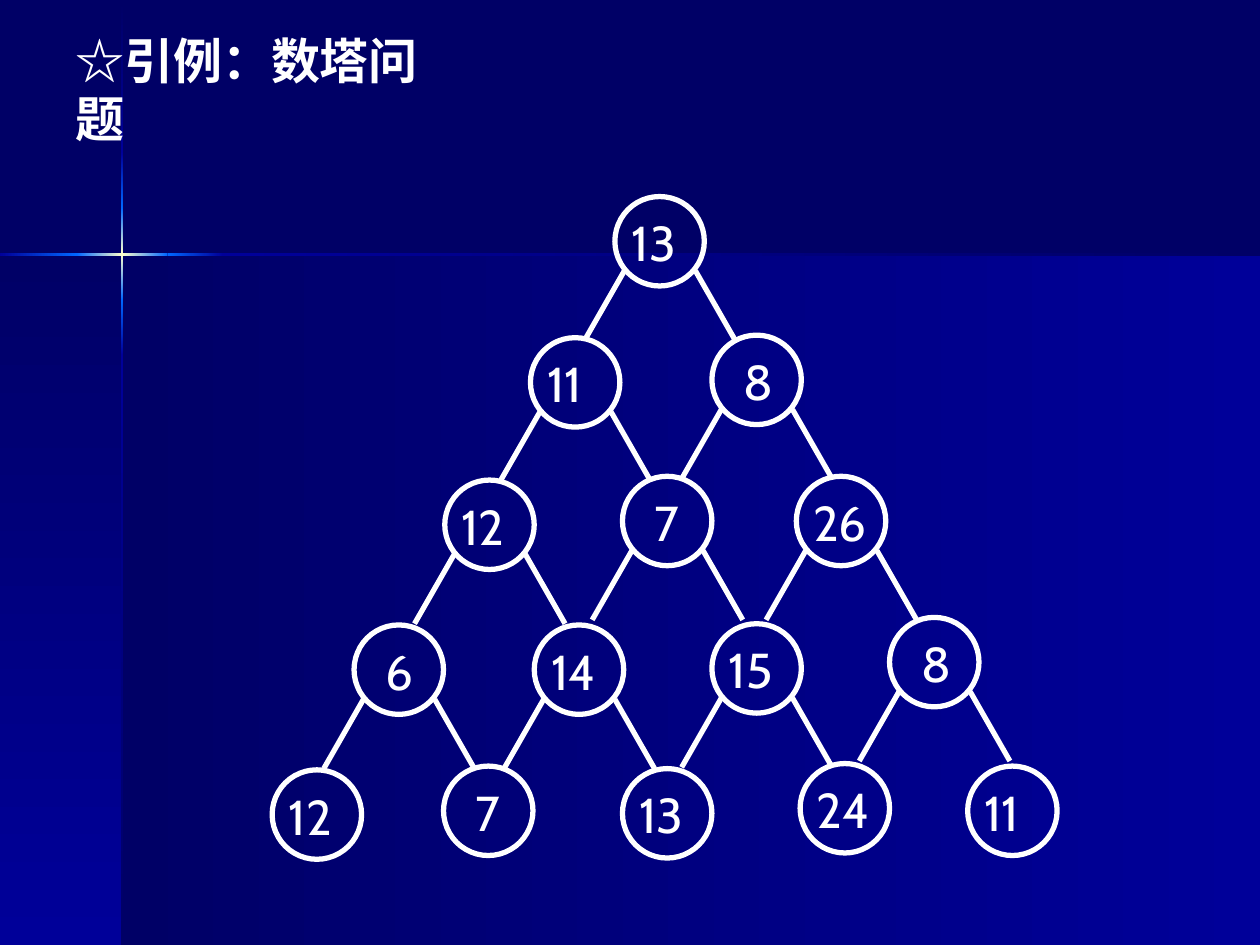
from lxml import etree
from pptx import Presentation
from pptx import util as u
from pptx.dml.color import RGBColor
from pptx.enum import shapes, text
from pptx.oxml import ns

NAVY = RGBColor(0x00, 0x00, 0x66)
BLUE = RGBColor(0x00, 0x00, 0x99)
GLOW = RGBColor(0x00, 0x66, 0xFF)
SPARK = RGBColor(0xFF, 0xFF, 0xCC)
WHITE = RGBColor(0xFF, 0xFF, 0xFF)

COLS, ROWS = 100, 75  # square grid cells over the whole slide
CELL = u.Inches(10) // COLS
DIAMETER = 7.1
RIGHT, DOWN = 0, 90  # gradient directions

# Each tower level: (number, column, row) inside the tower's box
TOWER = [
    [(13, 27.2, 0)],
    [(11, 20.5, 11.2), (8, 34.9, 11)],
    [(12, 13.7, 22.5), (7, 27.8, 22.2), (26, 41.6, 22.2)],
    [(6, 6.5, 34), (14, 20.8, 34), (15, 34.9, 33.9), (8, 49, 33.4)],
    [(12, 0, 45.5), (7, 13.6, 45.2), (13, 27.8, 45.4), (24, 41.9, 45), (11, 55.2, 45.2)],
]


def cells(*values):
    return [u.Emu(round(v * CELL)) for v in values]


def gradient_rect(s, box, colours, direction):
    """Rectangle whose colours are evenly spread in the given direction."""
    sp = s.shapes.add_shape(shapes.MSO_SHAPE.RECTANGLE, *cells(*box))
    sp.shadow.inherit = False
    sp.line.fill.background()
    sp.fill.gradient()
    sp.fill.gradient_angle = (360 - direction) % 360
    stops = sp._element.spPr.find(".//" + ns.qn("a:gsLst"))
    for stop in list(stops):
        stops.remove(stop)
    for i, colour in enumerate(colours):
        pos = 100000 * i // (len(colours) - 1)
        stop = etree.SubElement(stops, ns.qn("a:gs"), pos=str(pos))
        etree.SubElement(stop, ns.qn("a:srgbClr"), val=str(colour))


def streak(s, across, edges, direction):
    """Thin line of light, brightest in its middle piece, cut at the edges."""
    pieces = [(NAVY, BLUE), (BLUE, GLOW), (GLOW, SPARK, GLOW), (GLOW, BLUE), (BLUE, NAVY)]
    for start, end, colours in zip(edges, edges[1:], pieces[-len(edges) + 1:]):
        box = (start, across, end - start, 0.2)
        if direction == DOWN:
            box = (across, start, 0.2, end - start)
        gradient_rect(s, box, colours, direction)


def backdrop(s, left, top):
    """Two gradient fields below top, divided at left, with crossing light."""
    s.background.fill.solid()
    s.background.fill.fore_color.rgb = NAVY
    gradient_rect(s, (left, top, COLS - left, ROWS - top), (NAVY, BLUE), RIGHT)
    gradient_rect(s, (0, top, left, ROWS - top), (NAVY, BLUE), DOWN)
    streak(s, left - 0.1, (0.1, 12.1, 16.5, 23.8, 28.2, ROWS), DOWN)
    streak(s, top - 0.1, (0, 6.1, 13.3, 17.7, COLS), RIGHT)


def label(s, box, words, font, bold=False, wrap=True):
    tf = s.shapes.add_textbox(*cells(*box)).text_frame
    tf.word_wrap = wrap
    tf.auto_size = text.MSO_AUTO_SIZE.SHAPE_TO_FIT_TEXT
    tf.text = words
    f = tf.paragraphs[0].runs[0].font
    f.name, f.size, f.bold = font, u.Pt(28), bold
    f.color.rgb = WHITE


def node(s, x, y, number):
    sp = s.shapes.add_shape(shapes.MSO_SHAPE.OVAL, *cells(x, y, DIAMETER, DIAMETER))
    sp.shadow.inherit = False
    sp.fill.background()
    sp.line.color.rgb = WHITE
    sp.line.width = u.Pt(3)
    indent = 0.35 if number > 9 else 1.55
    label(s, (x + indent, y + 0.8, 7.9, 5.7), str(number), "Cabin")


def branches(s, x, y):
    """Two lines leading down from the node at x, y."""
    y1 = y + 5.9
    for x1, dx in ((x + 0.75, -3.15), (x + 6.4, 3.15)):
        line = s.shapes.add_connector(
            shapes.MSO_CONNECTOR.STRAIGHT, *cells(x1, y1, x1 + dx, y1 + 5.5))
        line.line.color.rgb = WHITE
        line.line.width = u.Pt(3)
        etree.SubElement(line._element.spPr, ns.qn("a:effectLst"))


def tower(s, left, top):
    for level in TOWER:
        for number, col, row in level:
            node(s, left + col, top + row, number)
            if level is not TOWER[-1]:
                branches(s, left + col, top + row)


def main():
    prs = Presentation()
    prs.slide_width, prs.slide_height = cells(COLS, ROWS)
    s = prs.slides.add_slide(prs.slide_layouts[6])
    backdrop(s, 9.7, 20.2)
    tower(s, 21.6, 15.6)
    label(s, (5, 1.9, 33, 5.7), "☆引例：数塔问题", "Arial", bold=True, wrap=False)
    prs.save("out.pptx")


if __name__ == "__main__":
    main()
